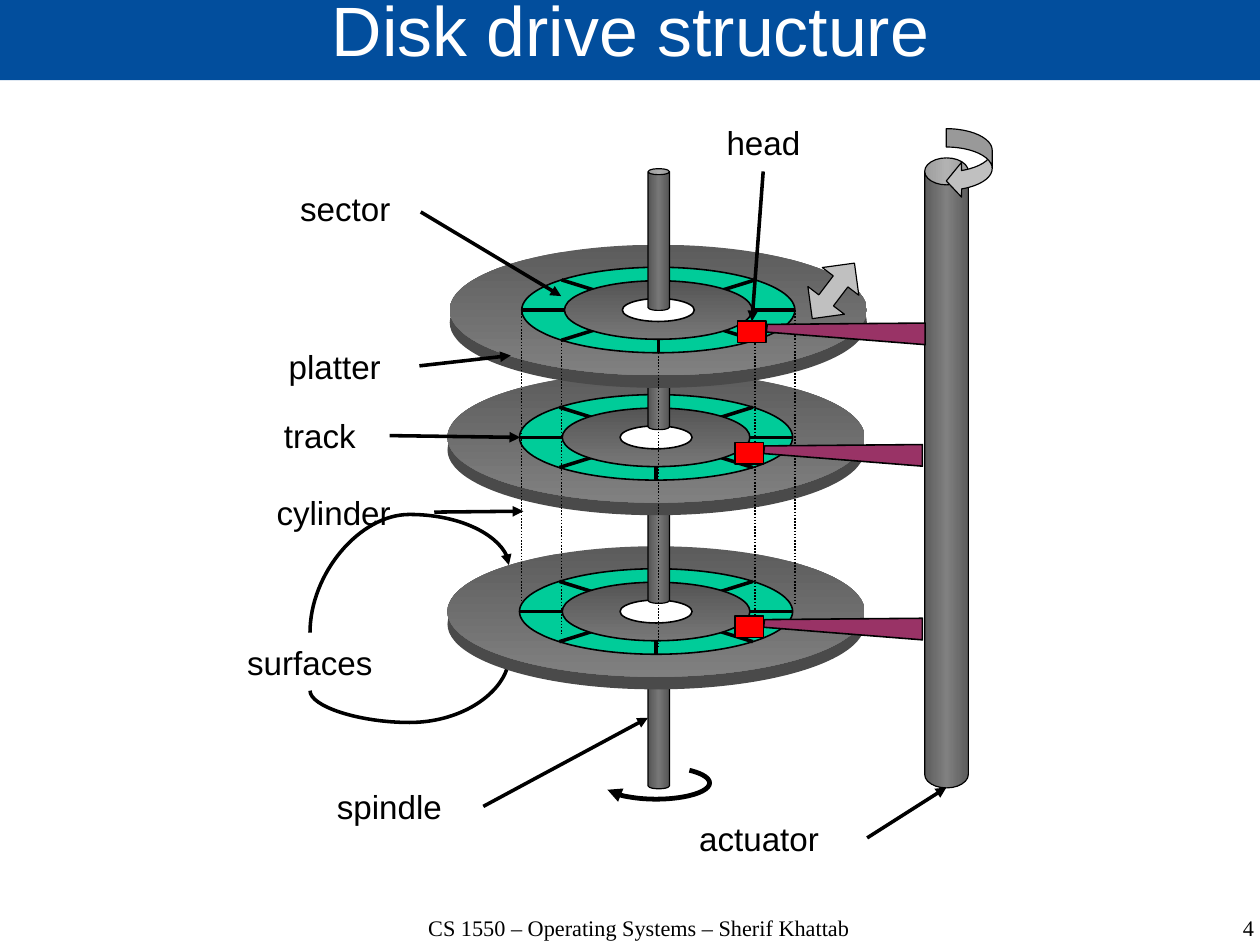
from lxml.etree import SubElement
from pptx import Presentation
from pptx.dml.color import RGBColor
from pptx.enum.dml import MSO_LINE
from pptx.enum.shapes import MSO_CONNECTOR as CONNECTOR, MSO_SHAPE as SHAPE
from pptx.enum.text import MSO_ANCHOR as ANCHOR, MSO_AUTO_SIZE as AUTO_SIZE, PP_ALIGN as ALIGN
from pptx.oxml.ns import qn
from pptx.util import Cm, Pt

COLORS = {
    "banner": "024E9D", "white": "FFFFFF", "black": "000000",
    "track": "00CC99", "arm": "993366", "head": "FF0000", "arrow": "C0C0C0",
    "rim": "4A4A4A", "platter dark": "5C5C5C", "platter light": "808080",
    "metal dark": "555555", "metal light": "777777",
}
PLATTER = ("platter dark", "platter light")
METAL = ("metal dark", "metal light")


def rgb(name):
    return RGBColor.from_string(COLORS[name])


def set_gradient(shape, names, angle):
    """Fill with evenly spaced stops; the angle runs clockwise from left to right."""
    shape.fill.gradient()
    shape.fill.gradient_angle = -angle % 360
    stops = shape._element.spPr.find(qn("a:gradFill")).find(qn("a:gsLst"))
    for stop in list(stops):
        stops.remove(stop)
    for index, name in enumerate(names):
        position = str(100000 * index // (len(names) - 1))
        stop = SubElement(stops, qn("a:gs"), pos=position)
        SubElement(stop, qn("a:srgbClr"), val=COLORS[name])


def paint(shape, fill=None, line=None, width=1, angle=90):
    """Set fill (a colour, a tuple of gradient colours or None) and outline."""
    shape.shadow.inherit = False
    if isinstance(fill, tuple):
        set_gradient(shape, fill, angle)
    elif fill:
        shape.fill.solid()
        shape.fill.fore_color.rgb = rgb(fill)
    else:
        shape.fill.background()
    if line:
        shape.line.color.rgb = rgb(line)
        shape.line.width = Pt(width)
    else:
        shape.line.fill.background()
    return shape


def add_preset(slide, kind, box, adjustments=(), **look):
    shape = slide.shapes.add_shape(kind, *map(Cm, box))
    for index, value in enumerate(adjustments):
        shape.adjustments[index] = value
    return paint(shape, **look)


def add_ellipse(slide, center, size, **look):
    (x, y), (width, height) = center, size
    box = (x - width / 2, y - height / 2, width, height)
    return add_preset(slide, SHAPE.OVAL, box, **look)


def add_outline(slide, points, **look):
    first, *rest = [(Cm(x), Cm(y)) for x, y in points]
    builder = slide.shapes.build_freeform(*first)
    builder.add_line_segments(rest)
    return paint(builder.convert_to_shape(), **look)


def add_arrowhead(shape):
    SubElement(shape.line._get_or_add_ln(), qn("a:tailEnd"), type="triangle")


def add_line(slide, start, end, width=2.25, arrow=False, dotted=False, kind=CONNECTOR.STRAIGHT):
    line = slide.shapes.add_connector(kind, *map(Cm, (*start, *end)))
    line.line.color.rgb = rgb("black")
    line.line.width = Pt(width)
    if dotted:
        line.line.dash_style = MSO_LINE.ROUND_DOT
    if arrow:
        add_arrowhead(line)
    SubElement(line._element.spPr, qn("a:effectLst"))
    return line


def add_surface_curve(slide, box, bend):
    """Curved arrow turned a quarter; bend is the connector's adjustment."""
    left, top, width, height = box
    curve = add_line(slide, (left + width, top + height), (left, top),
                     arrow=True, kind=CONNECTOR.CURVE)
    properties = curve._element.spPr
    properties.find(qn("a:xfrm")).set("rot", str(90 * 60000))
    guides = properties.find(qn("a:prstGeom")).find(qn("a:avLst"))
    SubElement(guides, qn("a:gd"), name="adj1", fmla=f"val {round(bend * 100000)}")


def write(frame, text, size=20.9, font="Arial", color="black", align=ALIGN.CENTER,
          anchor=ANCHOR.MIDDLE, wrap=True, spacing=None, margins=(0, 0), grow=False):
    frame.margin_left = frame.margin_right = Cm(margins[0])
    frame.margin_top = frame.margin_bottom = Cm(margins[1])
    frame.auto_size = AUTO_SIZE.SHAPE_TO_FIT_TEXT if grow else AUTO_SIZE.NONE
    frame.word_wrap = wrap
    frame.vertical_anchor = anchor
    paragraph = frame.paragraphs[0]
    paragraph.text = text
    paragraph.alignment = align
    if spacing:
        paragraph.line_spacing = spacing
    paragraph.font.size = Pt(size)
    paragraph.font.name = font
    paragraph.font.color.rgb = rgb(color)


def add_text(slide, box, text, **style):
    write(slide.shapes.add_textbox(*map(Cm, box)).text_frame, text, **style)


def add_title(slide, box, text):
    title = slide.shapes.title
    title.left, title.top, title.width, title.height = map(Cm, box)
    title.fill.solid()
    title.fill.fore_color.rgb = rgb("banner")
    write(title.text_frame, text, size=44, color="white", spacing=0.69)


def add_footer(slide, top):
    style = dict(size=14, font="Times New Roman", anchor=ANCHOR.TOP, spacing=0.96)
    add_text(slide, (7.8, top, 12.8, 1.4), "CS 1550 – Operating Systems – Sherif Khattab", **style)
    add_text(slide, (21.44, top, 6.43, 1.4), "4", align=ALIGN.RIGHT, **style)


def add_rod(slide, box, cap, shades):
    dark, light = shades
    add_preset(slide, SHAPE.CAN, box, (cap,), fill=(dark, light, dark), line="black",
               width=0.75, angle=0)


def add_disk(slide, center, thickness=0.28):
    x, y = center
    add_ellipse(slide, (x, y + thickness), (9.27, 2.9), fill="rim")
    add_ellipse(slide, center, (9.27, 2.9), fill=PLATTER)
    add_ellipse(slide, center, (6.07, 1.9), fill="track", line="black")
    for dx, dy in ((2.15, 0.67), (3.04, 0), (0, 0.95), (2.15, -0.67)):
        add_line(slide, (x - dx, y - dy), (x + dx, y + dy))
    add_ellipse(slide, center, (4.17, 1.3), fill=METAL, line="black")
    add_ellipse(slide, center, (1.6, 0.51), fill="white", line="black")


def add_disk_stack(slide, centers, rod_tops):
    """Stack the disks from the lowest up, with a spindle piece around each."""
    rods = [(14.4, top, 0.48, 3.15) for top in rod_tops]
    add_rod(slide, rods[0], 0.277, METAL)
    for center, rod in zip(centers, rods[1:]):
        add_disk(slide, center)
        add_rod(slide, rod, 0.277, METAL)
    x, y = centers[-1]
    for dx, dy in ((-3.04, 0), (3.04, 0), (-2.15, 0.67), (2.15, 0.67), (0, 0.95)):
        add_line(slide, (x + dx, y + dy), (x + dx, y + dy + 6.52), width=1, dotted=True)
    # Arc adjustments count in units of 5/3 degree.
    turn = add_preset(slide, SHAPE.ARC, (13.39, 17.04, 2.38, 0.72),
                      (339.2 * 0.6, 172 * 0.6), line="black", width=3)
    add_arrowhead(turn)


def add_head_and_arm(slide, left, top):
    corners = ((4.17, 0.05), (0.66, 0.08), (0.64, 0.25), (4.17, 0.53))
    add_outline(slide, [(left + dx, top + dy) for dx, dy in corners], fill="arm", line="black")
    add_preset(slide, SHAPE.RECTANGLE, (left, top, 0.64, 0.48), fill="head", line="black")


def add_actuator(slide, box, heads):
    add_rod(slide, box, 0.618, PLATTER)
    for left, top in heads:
        add_head_and_arm(slide, left, top)
    look = dict(fill="arrow", line="black", width=0.75)
    left, top = box[:2]
    add_preset(slide, SHAPE.CURVED_LEFT_ARROW, (left + 0.48, top - 0.65, 1.02, 1.55),
               (0.4, 0.8, 0.333), **look)
    swing = add_preset(slide, SHAPE.UP_DOWN_ARROW, (left - 2.54, top + 2.18, 1.02, 1.55),
                       (0.5, 0.4), **look)
    swing.rotation = 37.2


def add_label(slide, text, box, start=None, end=None):
    left, top, width = box
    add_text(slide, (left, top, width, 1.3), text, wrap=False, margins=(0.25, 0.13), grow=True)
    if start:
        add_line(slide, start, end, arrow=True)


def main():
    presentation = Presentation()
    presentation.slide_width, presentation.slide_height = Cm(28), Cm(21)
    slide = presentation.slides.add_slide(presentation.slide_layouts[5])
    add_title(slide, (0, -0.05, 28.04, 1.83), "Disk drive structure")
    add_footer(slide, 20.35)
    add_surface_curve(slide, (8.73, 12.77, 0.74, 4.42), -0.956)
    add_disk_stack(slide, [(14.58, 13.59), (14.58, 9.72), (14.63, 6.89)], [14.38, 10.26, 6.4, 3.75])
    add_actuator(slide, (20.55, 3.51, 0.97, 14), [(16.39, 7.13), (16.33, 9.83), (16.33, 13.69)])
    for label in (
        ("head", (15.39, 2.51, 3.15), (16.96, 3.81), (16.71, 7.14)),
        ("sector", (5.82, 3.98, 3.71), (9.35, 4.71), (12.47, 6.58)),
        ("platter", (5.56, 7.49, 3.76), (9.32, 8.13), (11.35, 7.9)),
        ("track", (5.56, 9.03, 3.1), (8.66, 9.68), (11.56, 9.72)),
        ("cylinder", (5.18, 10.74, 4.47), (9.65, 11.38), (11.63, 11.36)),
        ("surfaces", (4.47, 14.06, 4.83)),
        ("spindle", (6.57, 17.27, 4.17), (10.74, 17.92), (14.4, 15.95)),
        ("actuator", (14.47, 17.98, 4.8), (19.27, 18.62), (21.03, 17.5)),
    ):
        add_label(slide, *label)
    add_surface_curve(slide, (8.35, 11.1, 1.5, 4.42), 1.751)
    presentation.save("out.pptx")


if __name__ == "__main__":
    main()
